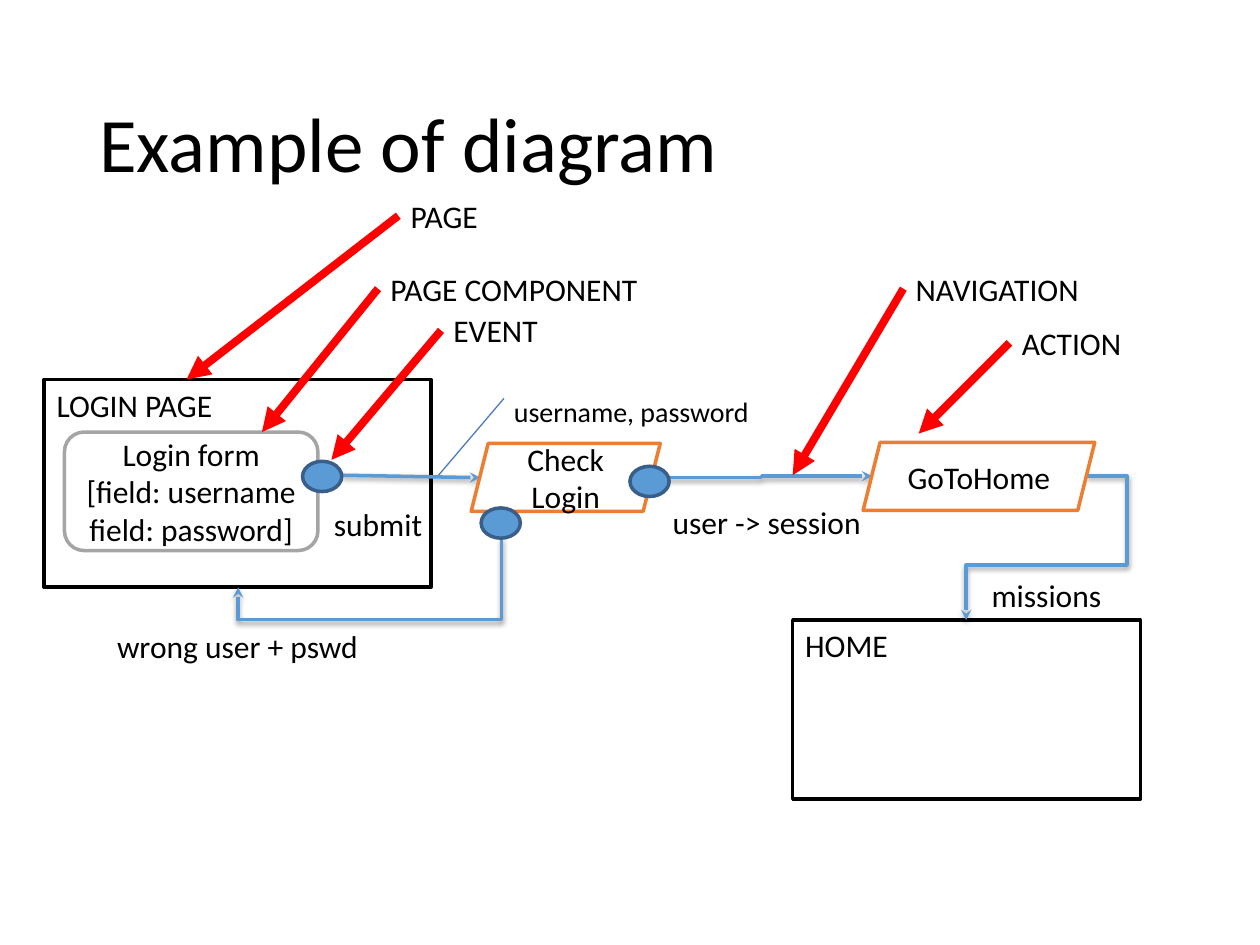
from lxml import etree
from pptx import Presentation
from pptx.dml.color import RGBColor
from pptx.enum import shapes, text
from pptx.oxml import ns
from pptx.util import Cm, Pt

COLORS = {"ink": "000000", "paper": "FFFFFF", "grey": "A5A5A5", "orange": "ED7D31",
          "blue": "5B9BD5", "navy": "395E89", "thin": "4A7DBA", "red": "FF0000"}
SHAPE = shapes.MSO_SHAPE
TOP, MIDDLE = text.MSO_ANCHOR.TOP, text.MSO_ANCHOR.MIDDLE
LEFT, CENTER = text.PP_ALIGN.LEFT, text.PP_ALIGN.CENTER

deck = Presentation()
deck.slide_width, deck.slide_height = Cm(25.4), Cm(19.05)
page = deck.slides.add_slide(deck.slide_layouts[6])


def add_box(kind, place, words="", size=18, fill=None, line=None,
            anchor=TOP, align=LEFT, wrap=True):
    """Add a preset shape, or a text box if kind is None; "|" breaks a line."""
    place = [Cm(length) for length in place]
    if kind is None:
        box = page.shapes.add_textbox(*place)
    else:
        box = page.shapes.add_shape(kind, *place)
        box.shadow.inherit = False
    if fill:
        box.fill.solid()
        box.fill.fore_color.rgb = RGBColor.from_string(COLORS[fill])
    if line:
        box.line.color.rgb = RGBColor.from_string(COLORS[line])
        box.line.width = Pt(2)
    frame = box.text_frame
    frame.word_wrap = wrap
    frame.vertical_anchor = anchor
    for number, row in enumerate(words.split("\n") if words else []):
        para = frame.add_paragraph() if number else frame.paragraphs[0]
        para.alignment = align
        for part, piece in enumerate(row.split("|")):
            if part:
                para.add_line_break()
            span = para.add_run()
            span.text = piece
            span.font.name = "Calibri"
            span.font.size = Pt(size)
            span.font.color.rgb = RGBColor.from_string(COLORS["ink"])
    return box


def add_line(ends, color, width, head=None, bends=None, turn=0, shadow=False):
    """Add a straight line, or an elbow if bends lists its adjustments."""
    kind = shapes.MSO_CONNECTOR.STRAIGHT if bends is None else shapes.MSO_CONNECTOR.ELBOW
    line = page.shapes.add_connector(kind, *[Cm(length) for length in ends])
    line.line.color.rgb = RGBColor.from_string(COLORS[color])
    line.line.width = Pt(width)
    props = line._element.spPr
    if head:
        etree.SubElement(props.find(ns.qn("a:ln")), ns.qn("a:tailEnd"), type=head)
    if turn:
        props.find(ns.qn("a:xfrm")).set("rot", str(turn * 60000))
    if bends:
        geometry = props.find(ns.qn("a:prstGeom"))
        geometry.set("prst", f"bentConnector{len(bends) + 2}")
        guides = geometry.find(ns.qn("a:avLst"))
        for number, bend in enumerate(bends, 1):
            etree.SubElement(guides, ns.qn("a:gd"), name=f"adj{number}",
                             fmla=f"val {round(bend * 100000)}")
    effects = etree.SubElement(props, ns.qn("a:effectLst"))
    if shadow:
        cast = etree.SubElement(effects, ns.qn("a:outerShdw"), blurRad=str(Pt(3.1)),
                                dist=str(Pt(1.6)), dir="5400000", rotWithShape="0")
        shade = etree.SubElement(cast, ns.qn("a:srgbClr"), val=COLORS["ink"])
        etree.SubElement(shade, ns.qn("a:alpha"), val="38000")


add_box(None, (1.75, 1.02, 21.9, 3.68), "Example of diagram", 44, anchor=MIDDLE)

# Pages and the form
for place, name in [((0.89, 7.65, 7.8, 4.19), "LOGIN PAGE"),
                    ((15.98, 12.5, 7.01, 3.61), "HOME")]:
    add_box(SHAPE.RECTANGLE, place, name, fill="paper", line="ink")
add_box(SHAPE.ROUNDED_RECTANGLE, (1.3, 8.71, 5.11, 2.39),
        "Login form|[field: username\nfield: password]",
        fill="paper", line="grey", anchor=MIDDLE, align=CENTER)

# Navigation flows: ends, bends, turn
flows = [
    ((6.91, 9.58, 9.68, 9.63), None, 0),
    ((13.13, 9.63, 17.58, 9.6), [0.5], 0),
    ((6.96, 8.69, 7.95, 14), [1.66], 90),
    ((21.89, 9.6, 19.48, 12.5), [-0.345, 0.618], 0),
]
for ends, bends, turn in flows:
    add_line(ends, "blue", 2, "stealth", bends, turn, shadow=True)

# Actions, then the events on their edges
for place, name in [((9.5, 8.94, 3.81, 1.37), "Check|Login"),
                    ((17.4, 8.92, 4.67, 1.37), "GoToHome")]:
    add_box(SHAPE.PARALLELOGRAM, place, name, fill="paper", line="orange",
            anchor=MIDDLE, align=CENTER)
for left, top in [(6.1, 9.3), (12.7, 9.4), (9.7, 10.24)]:
    add_box(SHAPE.OVAL, (left, top, 0.79, 0.61), fill="blue", line="navy")

# Flow labels
for left, top, width, words in [(6.48, 10.06, 2.31, "submit"),
                                (2.11, 12.52, 6.91, "wrong user + pswd"),
                                (13.31, 10.01, 4.32, "user -> session"),
                                (19.74, 11.48, 4.32, "missions")]:
    add_box(None, (left, top, width, 0.76), words)
add_box(None, (10.11, 7.82, 6.07, 0.86), "username, password", 16, fill="paper")
add_line((10.16, 8.03, 8.84, 9.58), "thin", 0.75)

# Callouts: each arrow starts at the middle of its label's left side
label_height = 1.02
callouts = [
    ("PAGE COMPONENT", 7.62, 5.31, 5.54, (5.28, 8.71)),
    ("PAGE", 8.03, 3.84, 1.88, (3.76, 7.65)),
    ("EVENT", 8.89, 6.15, 2.24, (6.68, 9.27)),
    ("ACTION", 20.35, 6.4, 2.54, (18.52, 8.74)),
    ("NAVIGATION", 18.21, 5.31, 3.84, (15.98, 9.58)),
]
for words, left, top, width, target in callouts:
    add_line((left, top + label_height / 2, *target), "red", 4.5, "triangle")
    add_box(None, (left, top, width, label_height), words, wrap=False)

deck.save("out.pptx")
